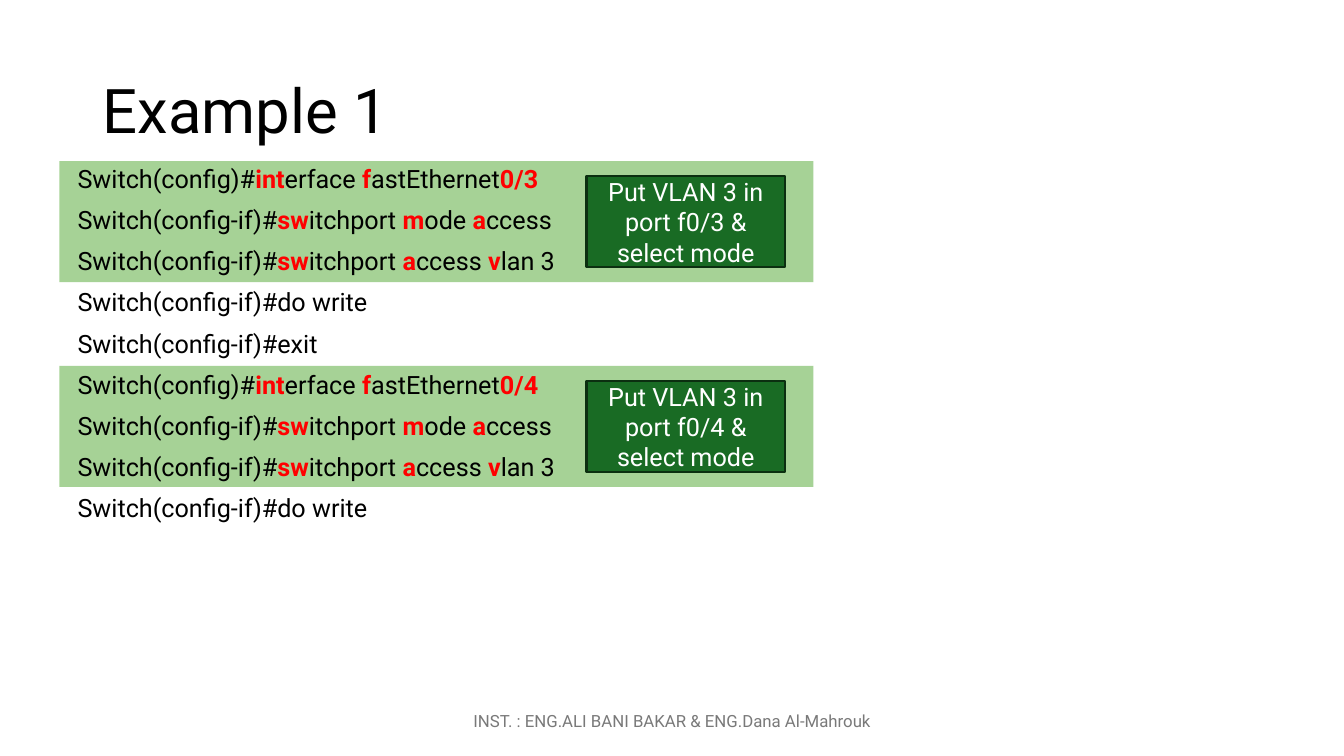
from lxml import etree
from pptx import Presentation
from pptx.dml.color import RGBColor
from pptx.enum.shapes import MSO_SHAPE
from pptx.enum.text import MSO_ANCHOR, MSO_AUTO_SIZE, PP_ALIGN
from pptx.oxml.ns import qn
from pptx.util import Pt

RECTANGLE = MSO_SHAPE.RECTANGLE
TOP, MIDDLE = MSO_ANCHOR.TOP, MSO_ANCHOR.MIDDLE
LEFT, CENTER = PP_ALIGN.LEFT, PP_ALIGN.CENTER
NO_AUTOFIT = MSO_AUTO_SIZE.NONE

BLOCK_TOP, BLOCK_PITCH = 115.2, 146.2
PORTS = ("0/3", "0/4")


def color(hex_code):
    return RGBColor.from_string(hex_code)


class SlideBuilder:
    font = "Roboto"
    black, white, red, gray = "000000", "FFFFFF", "FF0000", "797979"
    band_green, label_green, label_edge = "4EA72E", "196B24", "0B2F10"

    def __init__(self, slide):
        self.slide = slide

    def set_text(self, shape, lines, *, size=18, ink=black, align=LEFT,
                 anchor=MIDDLE, line_spacing=None, gap=0):
        """Fill a shape with lines; parts between asterisks are bold red."""
        frame = shape.text_frame
        frame.word_wrap = True
        frame.auto_size = NO_AUTOFIT
        frame.vertical_anchor = anchor
        for index, line in enumerate(lines):
            paragraph = frame.add_paragraph() if index else frame.paragraphs[0]
            paragraph.alignment = align
            paragraph.line_spacing = line_spacing
            paragraph.space_before = Pt(gap if index else 0)
            for part, words in enumerate(line.split("*")):
                if not words:
                    continue
                run = paragraph.add_run()
                run.text = words
                abbreviation = part % 2 == 1
                run.font.name = self.font
                run.font.size = Pt(size)
                run.font.bold = abbreviation
                run.font.color.rgb = color(self.red if abbreviation else ink)

    def place(self, shape, left, top, width, height):
        shape.left, shape.top = Pt(left), Pt(top)
        shape.width, shape.height = Pt(width), Pt(height)

    def rectangle(self, left, top, width, height, fill):
        box = self.slide.shapes.add_shape(
            RECTANGLE, Pt(left), Pt(top), Pt(width), Pt(height))
        box.shadow.inherit = False
        box.fill.solid()
        box.fill.fore_color.rgb = color(fill)
        return box

    def band(self, top):
        band = self.rectangle(42.5, top, 538.6, 86.4, self.band_green)
        band.line.fill.background()
        tint = band.element.spPr.find(qn("a:solidFill"))[0]
        etree.SubElement(tint, qn("a:alpha")).set("val", "50000")

    def label(self, top, text):
        label = self.rectangle(419, top, 141.8, 64.8, self.label_green)
        label.line.color.rgb = color(self.label_edge)
        label.line.width = Pt(1.5)
        self.set_text(label, [text], ink=self.white, align=CENTER)

    def title(self, text):
        title = self.slide.shapes.title
        self.place(title, 66.2, 28.8, 828, 104.4)
        self.set_text(title, [text], size=44, line_spacing=0.9)

    def commands(self, lines):
        """Put the commands in the body placeholder, in front of the bands."""
        body = self.slide.placeholders[1]
        self.place(body, 48.2, BLOCK_TOP, 409.7, 414)
        body.element.getparent().append(body.element)
        self.set_text(body, lines, anchor=TOP, line_spacing=0.9, gap=10)
        for paragraph in body.text_frame.paragraphs:
            properties = paragraph._p.get_or_add_pPr()
            properties.set("marL", "0")
            properties.set("indent", "0")
            etree.SubElement(properties, qn("a:buNone"))

    def footer(self, text):
        footer = self.slide.shapes.add_textbox(
            Pt(318.2), Pt(500.4), Pt(324), Pt(28.8))
        self.set_text(footer, [text], size=12, ink=self.gray, align=CENTER)


def port_commands(port):
    return [
        f"Switch(config)#*int*erface *f*astEthernet*{port}*",
        "Switch(config-if)#*sw*itchport *m*ode *a*ccess",
        "Switch(config-if)#*sw*itchport *a*ccess *v*lan 3",
        "Switch(config-if)#do write",
    ]


def main():
    deck = Presentation()
    deck.slide_width, deck.slide_height = Pt(960), Pt(540)
    builder = SlideBuilder(deck.slides.add_slide(deck.slide_layouts[1]))

    builder.footer("INST. : ENG.ALI BANI BAKAR & ENG.Dana Al-Mahrouk")
    block_tops = [BLOCK_TOP + BLOCK_PITCH * i for i in range(len(PORTS))]
    for top in block_tops:
        builder.band(top)
    first, second = map(port_commands, PORTS)
    builder.commands([*first, "Switch(config-if)#exit", *second])
    for top, port in zip(block_tops, PORTS):
        builder.label(top + 10.8, f"Put VLAN 3 in port f{port} & select mode")
    builder.title("Example 1")

    deck.save("out.pptx")


if __name__ == "__main__":
    main()
